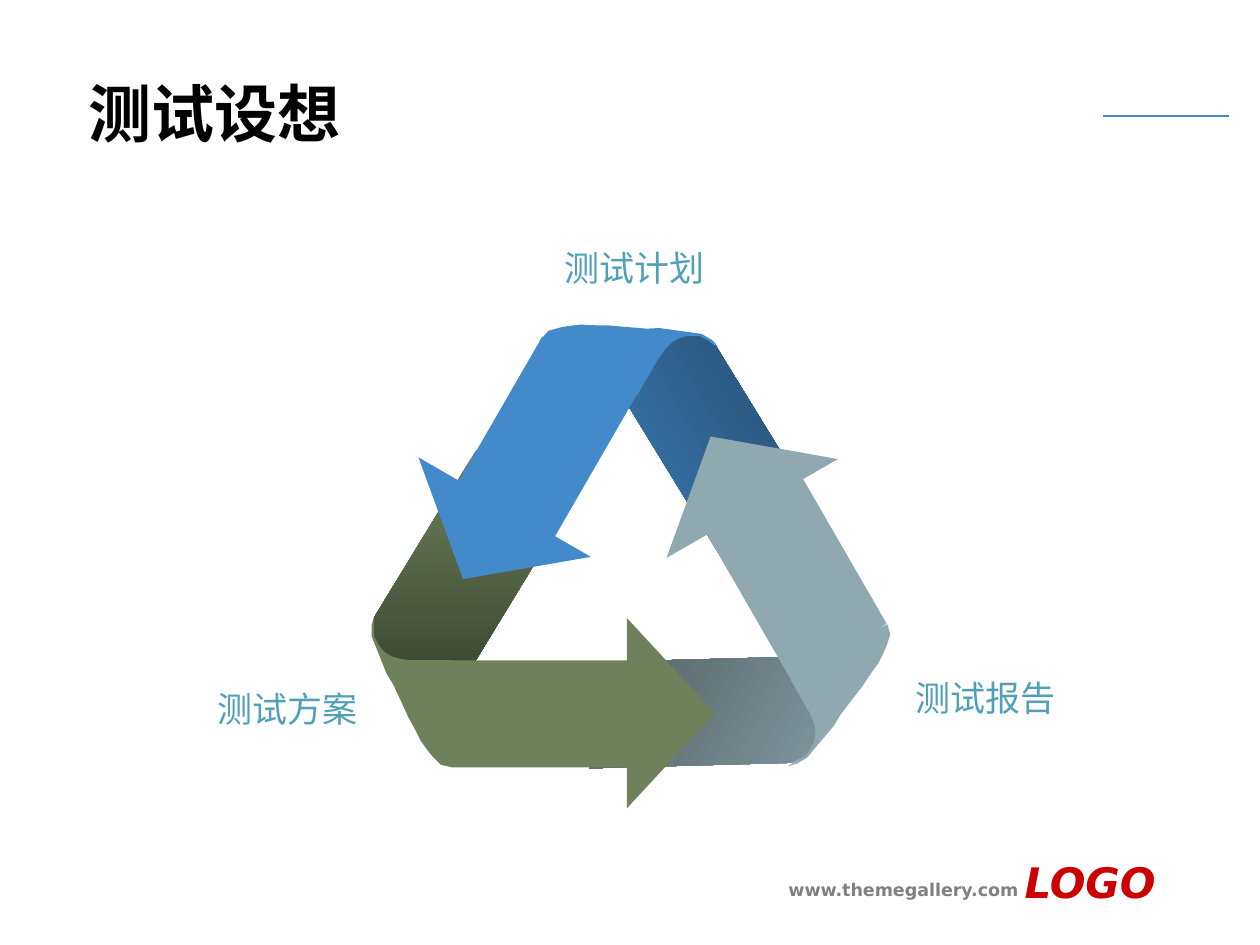
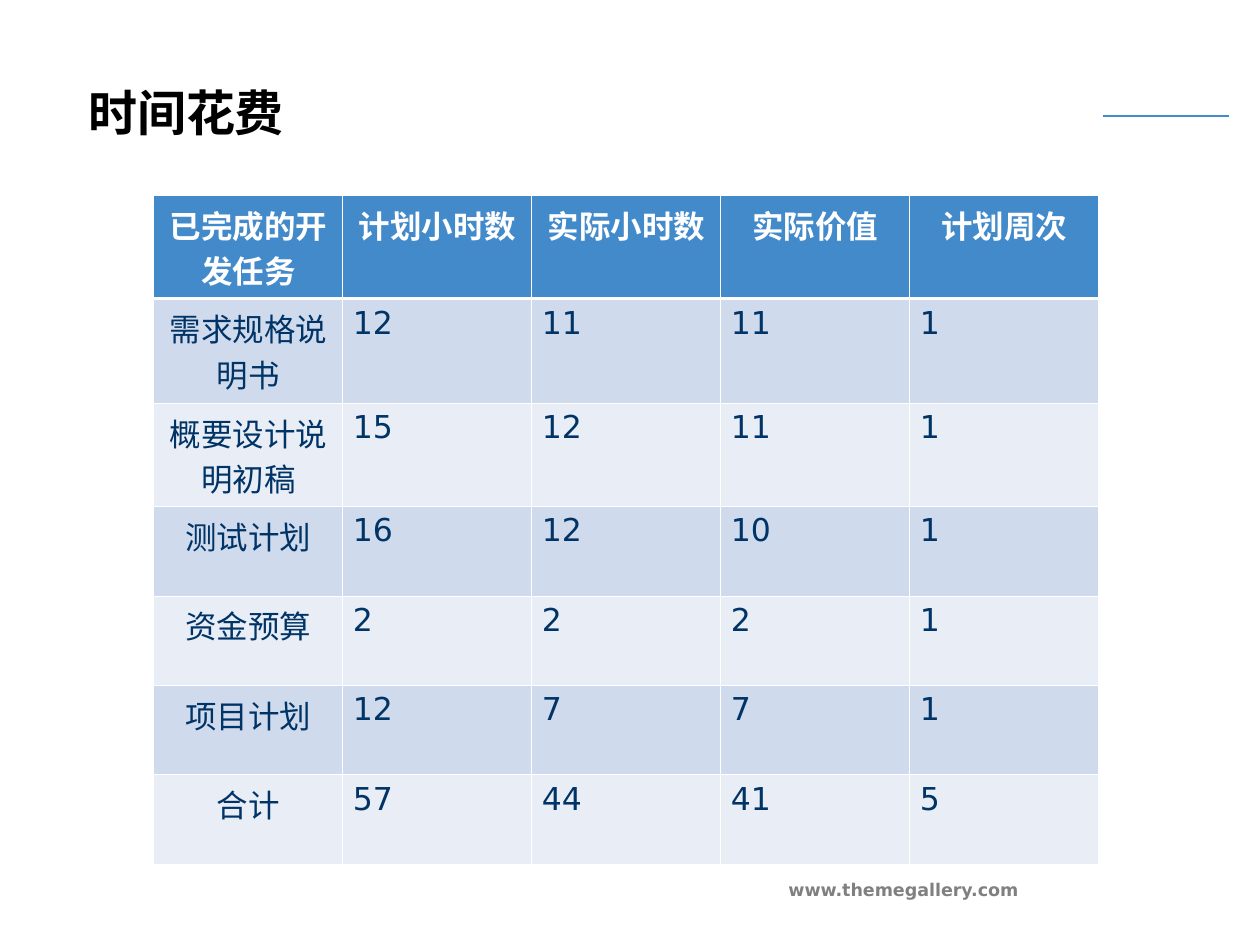
import lxml.etree
import pptx
import pptx.dml.color
import pptx.enum.shapes
import pptx.enum.text
import pptx.oxml
import pptx.oxml.ns
import pptx.util

RGB = pptx.dml.color.RGBColor
ALIGN = pptx.enum.text.PP_ALIGN
SHAPE = pptx.enum.shapes.MSO_SHAPE
qn = pptx.oxml.ns.qn

PX = 9144  # 100 px to the inch
SANS, ARIAL = "DejaVu Sans", "Arial"

BLACK = RGB(0x00, 0x00, 0x00)
WHITE = RGB(0xFF, 0xFF, 0xFF)
GREY = RGB(0x80, 0x80, 0x80)
RED = RGB(0xCC, 0x00, 0x00)
NAVY = RGB(0x00, 0x33, 0x66)
TEAL = RGB(0x51, 0xA0, 0xB9)
BLUE = RGB(0x43, 0x8A, 0xCB)
GREEN = RGB(0x6E, 0x81, 0x5B)
STEEL = RGB(0x90, 0xA8, 0xB0)
DARK_BLUE = RGB(0x1F, 0x40, 0x5E)
DARK_GREEN = RGB(0x33, 0x3C, 0x2A)
DARK_STEEL = RGB(0x43, 0x4E, 0x51)
BANDS = RGB(0xCF, 0xDA, 0xEC), RGB(0xE9, 0xED, 0xF6)

# Outlines of the parts of an arrow that points right
TAIL = [(159, 42), (54, 214), (1, 149), (2, 133), (83, 0)]
BODY = [(175, 0), (0, 0), (1, 44), (7, 85), (175, 85)]
FOLD = [
    (64, 35), (64, 120), (59, 119), (55, 118), (52, 115), (48, 111),
    (44, 106), (39, 99), (35, 91), (29, 80), (24, 69), (17, 54), (12, 46),
    (4, 26), (0, 16), (0, 7), (2, 0), (2, 5), (2, 9), (2, 12), (2, 16),
    (4, 20), (7, 25), (11, 29), (16, 32), (23, 34), (32, 35),
]

# Tails: box, turn, light colour, dark colour, gradient angle
GREEN_TAIL = (1, 99, 158, 214), 0, GREEN, DARK_GREEN, 270
BLUE_TAIL = (186, -19, 149, 227), 120, BLUE, DARK_BLUE, 150
STEEL_TAIL = (198, 184, 149, 227), 240, STEEL, DARK_STEEL, 30

# Fronts: turn, colour, boxes of head, body and fold
GREEN_FRONT = (0, GREEN, (162, 273, 151, 70), (57, 266, 174, 85),
               (0, 231, 64, 120))
BLUE_FRONT = (120, BLUE, (10, 140, 158, 66), (53, 53, 165, 88),
              (171, -49, 68, 125))
STEEL_FRONT = (240, STEEL, (207, 84, 157, 66), (250, 149, 165, 88),
               (340, 232, 60, 125))

HEADS = ["已完成的开发任务", "计划小时数", "实际小时数", "实际价值", "计划周次"]
TASKS = [
    ("需求规格说明书", 12, 11, 11, 1),
    ("概要设计说明初稿", 15, 12, 11, 1),
    ("测试计划", 16, 12, 10, 1),
    ("资金预算", 2, 2, 2, 1),
    ("项目计划", 12, 7, 7, 1),
    ("合计", 57, 44, 41, 5),
]
HEIGHTS = [82, 83, 82] + [71] * 4


def emu(*nums):
    return [num * PX for num in nums]


def place(shape, left, top, wide, high):
    shape.left, shape.top, shape.width, shape.height = emu(left, top, wide, high)


def style(para, size, color, name=SANS, bold=False, italic=False, align=ALIGN.LEFT):
    para.alignment = align
    font = para.font
    font.size, font.name = pptx.util.Pt(size), name
    font.bold, font.italic = bold, italic
    font.color.rgb = color


def label(slide, box, text, size, color, **look):
    frame = slide.shapes.add_textbox(*emu(*box)).text_frame
    frame.word_wrap = True
    frame.text = text
    style(frame.paragraphs[0], size, color, **look)


def start(deck, text, size):
    """Add a slide with its title, rule and web address."""
    slide = deck.slides.add_slide(deck.slide_layouts[5])
    title = slide.shapes.title
    place(title, 60, 58, 748, 62)
    frame = title.text_frame
    frame.text = text
    frame.auto_size = pptx.enum.text.MSO_AUTO_SIZE.NONE
    frame.vertical_anchor = pptx.enum.text.MSO_ANCHOR.MIDDLE
    style(frame.paragraphs[0], size, BLACK, bold=True)

    rule = slide.shapes.add_connector(
        pptx.enum.shapes.MSO_CONNECTOR.STRAIGHT, *emu(875, 92, 975, 92))
    rule.line.color.rgb = BLUE
    rule.line.width = pptx.util.Pt(0.75)
    lxml.etree.SubElement(rule._element.spPr, qn("a:effectLst"))
    label(slide, (585, 693, 233, 27), "www.themegallery.com", 10, GREY,
          bold=True, align=ALIGN.RIGHT)
    return slide


def fit(shape, left, top, box, angle):
    """Put a plain shape in a box relative to left, top and turn it."""
    x, y, wide, high = box
    place(shape, left + x, top + y, wide, high)
    shape.rotation = angle
    shape.shadow.inherit = False
    shape.line.fill.background()
    return shape.fill


def trace(slide, points):
    pen = slide.shapes.build_freeform(*points[0], scale=PX)
    pen.add_line_segments(points[1:], close=True)
    return pen.convert_to_shape()


def tail(slide, left, top, box, angle, light, dark, slope):
    fill = fit(trace(slide, TAIL), left, top, box, angle)
    fill.gradient()
    fill.gradient_angle = slope
    for stop, color in zip(fill.gradient_stops, (light, dark)):
        stop.color.rgb = color


def front(slide, left, top, angle, color, head, body, fold):
    tip = slide.shapes.add_shape(SHAPE.ISOSCELES_TRIANGLE, *emu(*head))
    fills = [
        fit(tip, left, top, head, (angle + 90) % 360),
        fit(trace(slide, BODY), left, top, body, angle),
        fit(trace(slide, FOLD), left, top, fold, angle),
    ]
    for fill in fills:
        fill.solid()
        fill.fore_color.rgb = color


def cycle(slide, left, top):
    tail(slide, left, top, *GREEN_TAIL)
    tail(slide, left, top, *BLUE_TAIL)
    front(slide, left, top, *BLUE_FRONT)
    tail(slide, left, top, *STEEL_TAIL)
    front(slide, left, top, *STEEL_FRONT)
    front(slide, left, top, *GREEN_FRONT)
    for text, x, y, wide, align in (
        ("测试方案", -245, 283, 244, ALIGN.RIGHT),
        ("测试报告", 422, 274, 244, ALIGN.LEFT),
        ("测试计划", 30, -67, 357, ALIGN.CENTER),
    ):
        label(slide, (left + x, top + y, wide, 44), text, 20, TEAL,
              name=ARIAL, align=align)


def edge(cell, side, width):
    line = lxml.etree.SubElement(cell._tc.get_or_add_tcPr(), qn("a:ln" + side),
                                 w=str(pptx.util.Pt(width)))
    solid = lxml.etree.SubElement(line, qn("a:solidFill"))
    lxml.etree.SubElement(solid, qn("a:srgbClr"), val=str(WHITE))


def hours(slide, left, top, wide):
    """Draw the table of planned and actual hours."""
    rows = [HEADS] + TASKS
    grid = slide.shapes.add_table(len(rows), len(HEADS),
                                  *emu(left, top, wide, sum(HEIGHTS))).table
    for r, row in enumerate(rows):
        grid.rows[r].height = emu(HEIGHTS[r])[0]
        for c, value in enumerate(row):
            cell = grid.cell(r, c)
            cell.margin_left = cell.margin_right = emu(8)[0]
            cell.margin_top = cell.margin_bottom = emu(5)[0]
            for side in "LRTB":
                thick = (r, side) in ((0, "B"), (1, "T"))
                edge(cell, side, 1.47 if thick else 0.45)
            cell.fill.solid()
            cell.fill.fore_color.rgb = BANDS[(r - 1) % 2] if r else BLUE
            cell.text = str(value)
            centred = r == 0 or c == 0
            style(cell.text_frame.paragraphs[0], 18, NAVY if r else WHITE,
                  bold=r == 0, align=ALIGN.CENTER if centred else ALIGN.JUSTIFY)


def main():
    deck = pptx.Presentation()
    deck.slide_width, deck.slide_height = emu(1000, 750)

    plan = start(deck, "测试设想", 36)
    label(plan, (785, 675, 142, 27), "LOGO", 24, RED,
          bold=True, italic=True, align=ALIGN.RIGHT)
    cycle(plan, 295, 258)

    cost = start(deck, "时间花费", 28)
    hours(cost, 122, 155, 750)

    deck.save("out.pptx")


if __name__ == "__main__":
    main()
